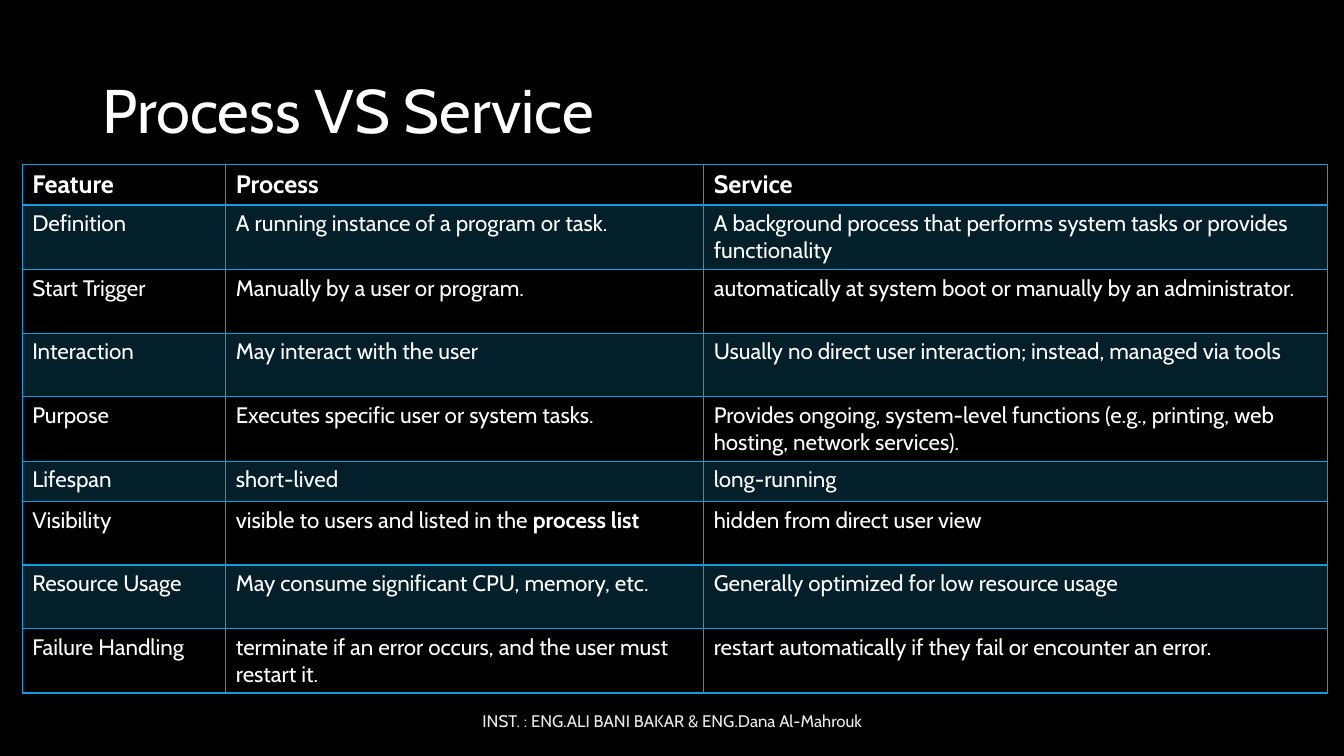
from lxml import etree
from pptx import Presentation
from pptx.dml.color import RGBColor as RGB
from pptx.enum.text import MSO_ANCHOR as ANCHOR, MSO_AUTO_SIZE as AUTO, PP_ALIGN as ALIGN
from pptx.oxml.ns import qn
from pptx.util import Inches, Pt

FONT = "Cabin"
COLORS = {"background": "000000", "text": "FFFFFF", "footer": "EAEAEA", "accent": "0F9ED5"}

COLUMN_WIDTHS = [2.02, 4.74, 6.19]
ROW_HEIGHTS = [0.4, 0.64, 0.63, 0.63, 0.64, 0.4, 0.63, 0.63, 0.64]
# A tuple holds a plain run followed by a bold run.
ROWS = [
    ("Feature", "Process", "Service"),
    ("Definition", "A running instance of a program or task.",
     "A background process that performs system tasks or provides functionality"),
    ("Start Trigger", "Manually by a user or program.",
     "automatically at system boot or manually by an administrator."),
    ("Interaction", "May interact with the user",
     "Usually no direct user interaction; instead, managed via tools"),
    ("Purpose", "Executes specific user or system tasks.",
     "Provides ongoing, system-level functions (e.g., printing, web hosting, network services)."),
    ("Lifespan", "short-lived", "long-running"),
    ("Visibility", ("visible to users and listed in the ", "process list"),
     "hidden from direct user view"),
    ("Resource Usage", "May consume significant CPU, memory, etc.",
     "Generally optimized for low resource usage"),
    ("Failure Handling", "terminate if an error occurs, and the user must restart it.",
     "restart automatically if they fail or encounter an error."),
]


def add_run(p, text, size=16, color="text", bold=False):
    r = p.add_run()
    r.text = text
    r.font.name = FONT
    r.font.size = Pt(size)
    r.font.bold = bold
    r.font.color.rgb = RGB.from_string(COLORS[color])


class SlideBuilder:
    def __init__(self, prs):
        self.slide = prs.slides.add_slide(prs.slide_layouts[5])
        fill = self.slide.background.fill
        fill.solid()
        fill.fore_color.rgb = RGB.from_string(COLORS["background"])

    def place_text(self, sp, text, box, align, **style):
        sp.left, sp.top, sp.width, sp.height = map(Inches, box)
        tf = sp.text_frame
        tf.word_wrap = True
        tf.auto_size = AUTO.NONE
        tf.vertical_anchor = ANCHOR.MIDDLE
        p = tf.paragraphs[0]
        p.alignment = align
        add_run(p, text, **style)
        return p

    def title(self, text, box):
        p = self.place_text(self.slide.shapes.title, text, box, ALIGN.LEFT, size=44)
        p.line_spacing = 0.9

    def footer(self, text, box):
        sp = self.slide.shapes.add_textbox(*map(Inches, box))
        self.place_text(sp, text, box, ALIGN.CENTER, size=12, color="footer")

    def border(self, cell, side, width):
        line = etree.SubElement(cell._tc.get_or_add_tcPr(), qn(f"a:ln{side}"), w=str(Pt(width)))
        fill = etree.SubElement(line, qn("a:solidFill"))
        etree.SubElement(fill, qn("a:srgbClr"), val=COLORS["accent"])

    def band(self, cell):
        """Fill a cell with the accent colour at 20% opacity."""
        cell.fill.solid()
        cell.fill.fore_color.rgb = RGB.from_string(COLORS["accent"])
        color = cell._tc.tcPr.find(f"{qn('a:solidFill')}/{qn('a:srgbClr')}")
        etree.SubElement(color, qn("a:alpha"), val="20000")

    def cell(self, cell, content, row):
        p = cell.text_frame.paragraphs[0]
        header = row == 0
        runs = (content,) if isinstance(content, str) else content
        for i, text in enumerate(runs):
            add_run(p, text, size=18 if header else 16, bold=header or i == 1)
        heavy_side = {0: "B", 1: "T"}.get(row)
        for side in "LRTB":
            self.border(cell, side, 2 if side == heavy_side else 1)
        if row % 2:
            self.band(cell)
        else:
            cell.fill.background()

    def table(self, rows, left, top):
        size = (sum(COLUMN_WIDTHS), sum(ROW_HEIGHTS))
        table = self.slide.shapes.add_table(len(rows), len(rows[0]),
                                            *map(Inches, (left, top, *size))).table
        for column, width in zip(table.columns, COLUMN_WIDTHS):
            column.width = Inches(width)
        for i, (contents, height) in enumerate(zip(rows, ROW_HEIGHTS)):
            table.rows[i].height = Inches(height)
            for j, content in enumerate(contents):
                self.cell(table.cell(i, j), content, i)


def main():
    prs = Presentation()
    prs.slide_width, prs.slide_height = Inches(13.33), Inches(7.5)
    s = SlideBuilder(prs)
    s.title("Process VS Service", (0.92, 0.4, 11.5, 1.45))
    s.table(ROWS, 0.22, 1.63)
    s.footer("INST. : ENG.ALI BANI BAKAR & ENG.Dana Al-Mahrouk", (4.42, 6.95, 4.5, 0.4))
    prs.save("out.pptx")


if __name__ == "__main__":
    main()
